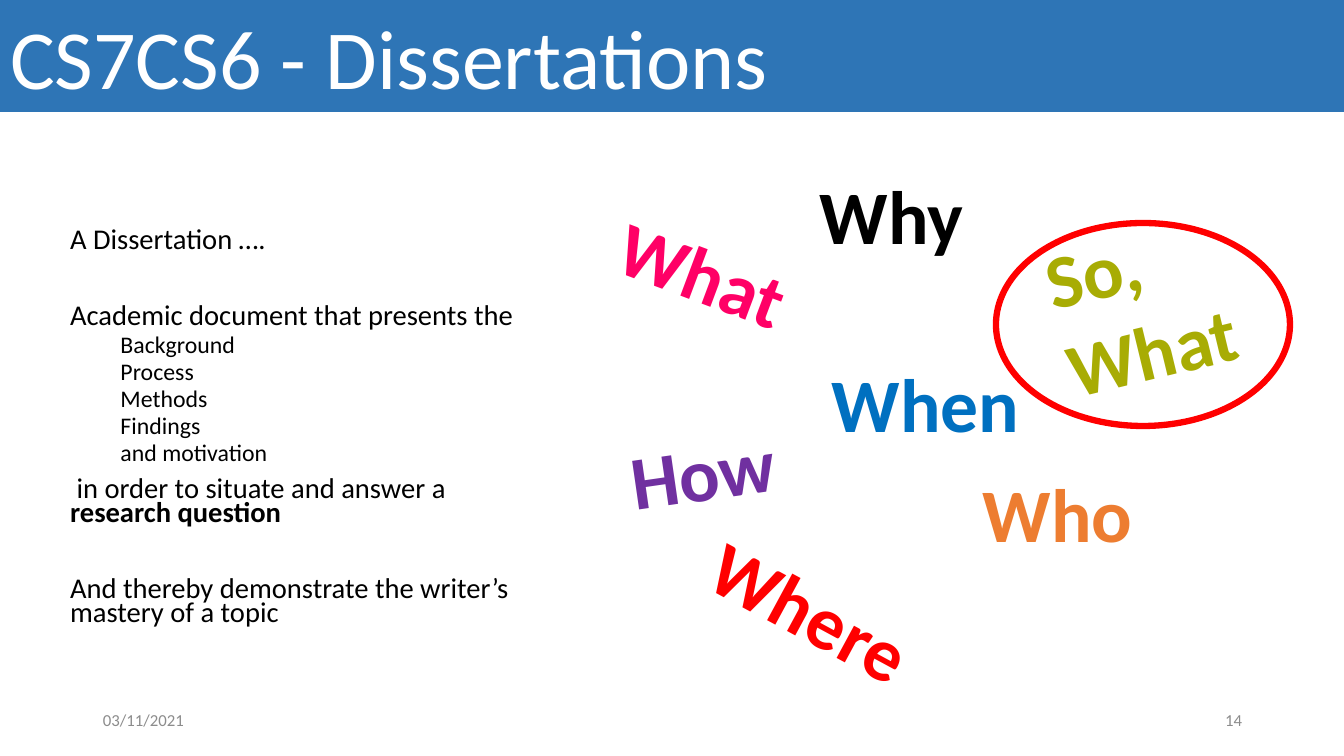
import pptx
import pptx.dml.color
import pptx.enum.shapes
import pptx.enum.text
import pptx.util

PX = 914400 / 100.8
FONT = "Calibri"
COLOURS = {
    "band": "2E75B6", "white": "FFFFFF", "black": "000000", "grey": "8C8C8C",
    "red": "FF0000", "pink": "FF0066", "purple": "7030A0", "blue": "0070C0",
    "orange": "ED7D31", "olive": "A8AC04",
}
ALIGN = pptx.enum.text.PP_ALIGN
ANCHOR = pptx.enum.text.MSO_ANCHOR

# text, indent level, points above; larger gaps set the sections apart
BODY = [
    ("A Dissertation ….", 0, 10),
    ("Academic document that presents the", 0, 37.4),
    ("Background", 1, 5),
    ("Process", 1, 5),
    ("Methods", 1, 5),
    ("Findings", 1, 5),
    ("and motivation", 1, 5),
    (" in order to situate and answer a ", 0, 10),
    ("And thereby demonstrate the writer’s mastery of a topic", 0, 37.4),
]
BOLD_ENDINGS = {7: "research question"}

# text, colour, offset in the cloud, size, rotation
WORDS = [
    ("Why", "black", (204, 0, 238, 101), 0),
    ("What", "pink", (0, 66, 238, 101), 20.5),
    ("How", "purple", (14, 251, 238, 101), -8.2),
    ("When", "blue", (216, 188, 238, 101), 0),
    ("Who", "orange", (367, 298, 238, 101), 0),
    ("Where", "red", (89, 397, 238, 101), 28.4),
    ("So, What", "olive", (439, 43, 214, 192), -13.6),
]


def emu(*lengths):
    return [pptx.util.Emu(round(n * PX)) for n in lengths]


def rgb(name):
    return pptx.dml.color.RGBColor.from_string(COLOURS[name])


def set_font(font, size, colour, bold=False):
    font.name = FONT
    font.size = pptx.util.Pt(size)
    font.bold = bold
    font.color.rgb = rgb(colour)


def place(sp, box):
    sp.left, sp.top, sp.width, sp.height = emu(*box)


def add_text(slide, box, text, size, colour, bold=False,
             align=ALIGN.LEFT, anchor=ANCHOR.TOP):
    sp = slide.shapes.add_textbox(*emu(*box))
    tf = sp.text_frame
    tf.word_wrap = True
    tf.vertical_anchor = anchor
    p = tf.paragraphs[0]
    p.text = text
    p.alignment = align
    set_font(p.font, size, colour, bold)
    return sp


def fill_title(sp, box):
    place(sp, box)
    sp.fill.solid()
    sp.fill.fore_color.rgb = rgb("band")
    tf = sp.text_frame
    tf.auto_size = pptx.enum.text.MSO_AUTO_SIZE.NONE
    tf.vertical_anchor = ANCHOR.MIDDLE
    p = tf.paragraphs[0]
    p.text = "CS7CS6 - Dissertations"
    p.alignment = ALIGN.LEFT
    set_font(p.font, 60, "white")


def fill_body(sp, box):
    place(sp, box)
    tf = sp.text_frame
    tf.auto_size = pptx.enum.text.MSO_AUTO_SIZE.NONE
    tf.vertical_anchor = ANCHOR.TOP
    for i, (text, level, gap) in enumerate(BODY):
        p = tf.add_paragraph() if i else tf.paragraphs[0]
        p.level = level
        p.alignment = ALIGN.LEFT
        p.line_spacing = 0.7
        p.space_before = pptx.util.Pt(gap)
        set_font(p.font, 17 if level else 20.4, "black")
        p.add_run().text = text
        if i in BOLD_ENDINGS:
            r = p.add_run()
            r.text = BOLD_ENDINGS[i]
            r.font.bold = True


def add_word_cloud(slide, box):
    """Scatter the question words and ring the last of them."""
    left, top = box[:2]
    ring = slide.shapes.add_shape(pptx.enum.shapes.MSO_SHAPE.OVAL,
                                  *emu(left + 390, top + 59, 294, 203))
    ring.shadow.inherit = False
    ring.fill.solid()
    ring.fill.fore_color.rgb = rgb("white")
    ring.line.color.rgb = rgb("red")
    ring.line.width = pptx.util.Pt(4.5)
    for text, colour, (dx, dy, width, height), angle in WORDS:
        sp = add_text(slide, (left + dx, top + dy, width, height),
                      text, 54, colour, bold=True)
        sp.rotation = angle


def add_footer(slide, box):
    left, top, width, height = box
    add_text(slide, (left, top, 302, height), "03/11/2021", 12, "grey",
             anchor=ANCHOR.MIDDLE)
    add_text(slide, (left + width - 302, top, 302, height), "14", 12, "grey",
             align=ALIGN.RIGHT, anchor=ANCHOR.MIDDLE)


def main():
    prs = pptx.Presentation()
    prs.slide_width, prs.slide_height = emu(1344, 756)
    slide = prs.slides.add_slide(prs.slide_layouts[0])
    fill_title(slide.shapes.title, (0, 0, 1344, 112))
    fill_body(slide.placeholders[1], (60, 225, 490, 444))
    add_footer(slide, (93, 700, 1159, 40))
    add_word_cloud(slide, (606, 164, 684, 498))
    prs.save("out.pptx")


if __name__ == "__main__":
    main()
